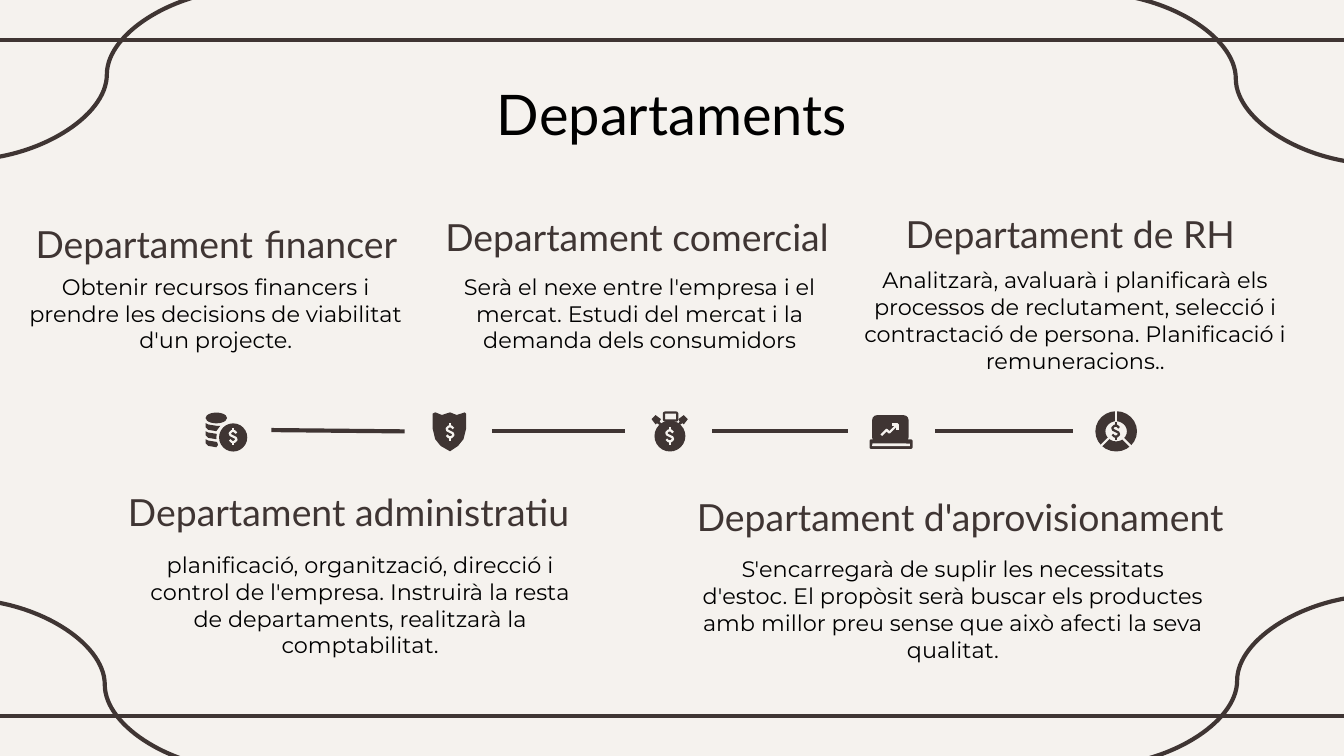
from math import cos, radians, sin
from lxml.etree import SubElement
from pptx import Presentation
from pptx.dml.color import RGBColor
from pptx.enum.shapes import MSO_CONNECTOR, MSO_SHAPE
from pptx.enum.text import MSO_ANCHOR, MSO_AUTO_SIZE, PP_ALIGN
from pptx.oxml.ns import qn
from pptx.util import Inches, Pt

DARK = RGBColor(0x3F, 0x35, 0x33)
CREAM = RGBColor(0xF5, 0xF2, 0xEE)
BLACK = RGBColor(0, 0, 0)

deck = Presentation()
deck.slide_width, deck.slide_height = Inches(10), Inches(10 * 9 / 16)
slide = deck.slides.add_slide(deck.slide_layouts[5])
slide.background.fill.solid()
slide.background.fill.fore_color.rgb = CREAM
shapes = slide.shapes


def paint(shape, fill=None, line=None, width=1.2):
    shape.shadow.inherit = False
    for part, color in ((shape.fill, fill), (shape.line.fill, line)):
        if color is None:
            part.background()
        else:
            part.solid()
            part.fore_color.rgb = color
    if line is not None:
        shape.line.width = Pt(width)


def trace(paths, fill=None, line=None):
    unit = Inches(0.001)
    spots = [[(round(x * 10), round(y * 10)) for x, y in path] for path in paths]
    draft = shapes.build_freeform(*spots[0][0], scale=unit)
    for spot in spots:
        draft.move_to(*spot[0])
        draft.add_line_segments(spot[1:], close=fill is not None)
    paint(draft.convert_to_shape(), fill, line)


STRAIGHT, CURVE = MSO_CONNECTOR.STRAIGHT, MSO_CONNECTOR.CURVE
lines = [
    (STRAIGHT, -0.08, 0.3, 10.08, 0.3),
    (STRAIGHT, -0.08, 5.33, 10.08, 5.33),
    (CURVE, -0.27, 4.46, 1.83, 5.73),
    (CURVE, 8.14, -0.05, 10.25, 1.22),
    (CURVE, 10.26, 4.43, 8.15, 5.7),
    (CURVE, 1.85, -0.08, -0.26, 1.19),
    (STRAIGHT, 2.02, 3.2, 3.01, 3.21),
    (STRAIGHT, 3.66, 3.21, 4.65, 3.21),
    (STRAIGHT, 5.3, 3.21, 6.31, 3.21),
    (STRAIGHT, 6.96, 3.21, 7.98, 3.21),
]
for kind, *ends in lines:
    link = shapes.add_connector(kind, *map(Inches, ends))
    link.line.color.rgb = DARK
    link.line.width = Pt(2.25)
    SubElement(link._element.spPr, qn("a:effectLst"))

for drop in (0, 6, 12):
    band = [(153, 315), (155, 316), (161, 317), (164, 317),
            (161, 321), (155, 320), (153, 318)]
    trace([[(x, y + drop) for x, y in band]], DARK)

trace([[(322, 308), (324, 307), (329, 309), (335, 307), (340, 309),
        (346, 307), (347, 308), (347, 319), (345, 327), (341, 332),
        (335, 336), (328, 332), (324, 327), (322, 319)]], DARK)

knob = [(485, 312), (488, 309), (492, 312), (491, 314),
        (493, 316), (492, 317), (489, 315), (488, 316)]
trace([knob], DARK)
trace([[(997 - x, y) for x, y in knob]], DARK)

OVAL, ROUND = MSO_SHAPE.OVAL, MSO_SHAPE.ROUNDED_RECTANGLE
parts = [
    (OVAL, 1.53, 3.07, 0.16, 0.08, DARK, None),
    (OVAL, 1.61, 3.13, 0.25, 0.25, CREAM, None),
    (OVAL, 1.63, 3.15, 0.21, 0.21, DARK, None),
    (OVAL, 4.87, 3.13, 0.23, 0.23, DARK, None),
    (ROUND, 4.94, 3.07, 0.1, 0.06, None, DARK),
    (ROUND, 6.49, 3.09, 0.27, 0.2, DARK, None),
    (ROUND, 6.47, 3.27, 0.32, 0.07, DARK, None),
    (ROUND, 6.49, 3.3, 0.28, 0.02, CREAM, None),
    (MSO_SHAPE.DONUT, 8.15, 3.06, 0.31, 0.3, DARK, None),
]
for kind, x, y, wide, high, fill, line in parts:
    shape = shapes.add_shape(kind, *map(Inches, (x, y, wide, high)))
    paint(shape, fill, line)

trace([[(656, 324), (660, 320), (662, 322), (668, 316)],
       [(664, 316), (668, 316), (668, 320)]], line=CREAM)
trace([[(830.5 + r * cos(radians(turn)), 321 + r * sin(radians(turn)))
        for r in (7, 16)] for turn in (45, 135, 270)], line=CREAM)

curl = [(2.5, -2.5), (1, -4), (-1, -4), (-2.5, -2.5), (-2, -1),
        (2, 1), (2.5, 2.5), (1, 4), (-1, 4), (-2.5, 2.5)]
dollar = [curl, [(0, -6.5), (0, -4)], [(0, 4), (0, 6.5)]]
for x, y, color in ((173.5, 325, CREAM), (335, 321.5, CREAM),
                    (498.5, 324.5, CREAM), (830.5, 321, DARK)):
    trace([[(x + a, y + b) for a, b in path] for path in dollar], line=color)

HEAD = {"size": Pt(20), "name": "Lato"}
BODY = {"size": Pt(12), "name": "Montserrat"}
texts = [
    (-0.35, 1.59, 3.92, 0.35, "Departament financer", HEAD, DARK),
    (0.19, 2.03, 2.93, 0.6, "Obtenir recursos financers i prendre les decisions "
     "de viabilitat d'un projecte.", BODY, BLACK),
    (2.78, 1.59, 3.92, 0.35, "Departament comercial", HEAD, DARK),
    (3.16, 2.03, 3.3, 0.6, "Serà el nexe entre l'empresa i el mercat. Estudi del "
     "mercat i la demanda dels consumidors", BODY, BLACK),
    (5.85, 1.57, 4.23, 0.35, "Departament de RH", HEAD, DARK),
    (6.31, 1.98, 3.48, 0.6, "Analitzarà, avaluarà i planificarà els processos de "
     "reclutament, selecció i contractació de persona. Planificació i "
     "remuneracions..", BODY, BLACK),
    (0.48, 3.64, 4.23, 0.35, "Departament administratiu", HEAD, DARK),
    (1, 4.1, 3.46, 0.6, "planificació, organització, direcció i control de "
     "l'empresa. Instruirà la resta de departaments, realitzarà la "
     "comptabilitat.", BODY, BLACK),
    (4.7, 3.68, 4.89, 0.35, "Departament d'aprovisionament", HEAD, DARK),
    (5.21, 4.13, 3.86, 0.6, "S'encarregarà de suplir les necessitats d'estoc. El "
     "propòsit serà buscar els productes amb millor preu sense que això afecti "
     "la seva qualitat.", BODY, BLACK),
    (0.78, 0.49, 8.44, 0.63, "Departaments", {"size": Pt(30), "name": "Lato"}, BLACK),
]
for x, y, wide, high, words, style, color in texts:
    if words == "Departaments":
        box, inset = shapes.title, (0.1, 0.1, 0.1, 0.1)
        for key, size in zip(("left", "top", "width", "height"), (x, y, wide, high)):
            setattr(box, key, Inches(size))
    else:
        box = shapes.add_textbox(*map(Inches, (x, y, wide, high)))
        inset = (0, 0, 0.1, 0.1) if style is BODY else (0, 0, 0, 0)
    frame = box.text_frame
    look = {"word_wrap": True, "auto_size": MSO_AUTO_SIZE.NONE,
            "vertical_anchor": MSO_ANCHOR.TOP}
    for side, gap in zip(("left", "top", "right", "bottom"), inset):
        look["margin_" + side] = Inches(gap)
    for key, value in look.items():
        setattr(frame, key, value)
    para = frame.paragraphs[0]
    para.alignment = PP_ALIGN.CENTER
    mixed = words == "Departament financer"
    for piece in ("Departament", " ", "financer") if mixed else (words,):
        run = para.add_run()
        run.text = piece
        for key, value in style.items():
            setattr(run.font, key, value)
        run.font.color.rgb = color
        if piece == " ":
            run.font.size = Pt(24)

deck.save("out.pptx")
